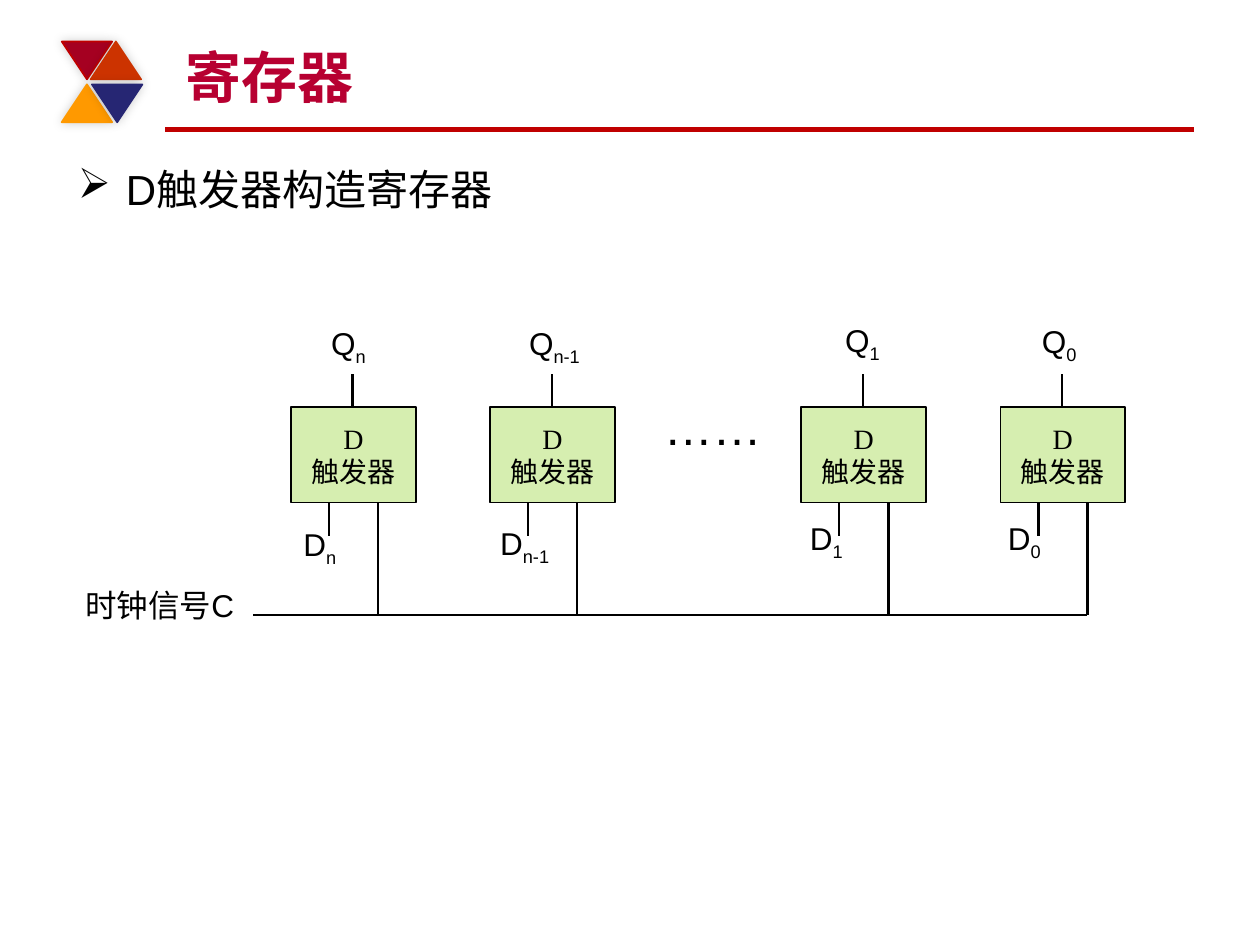
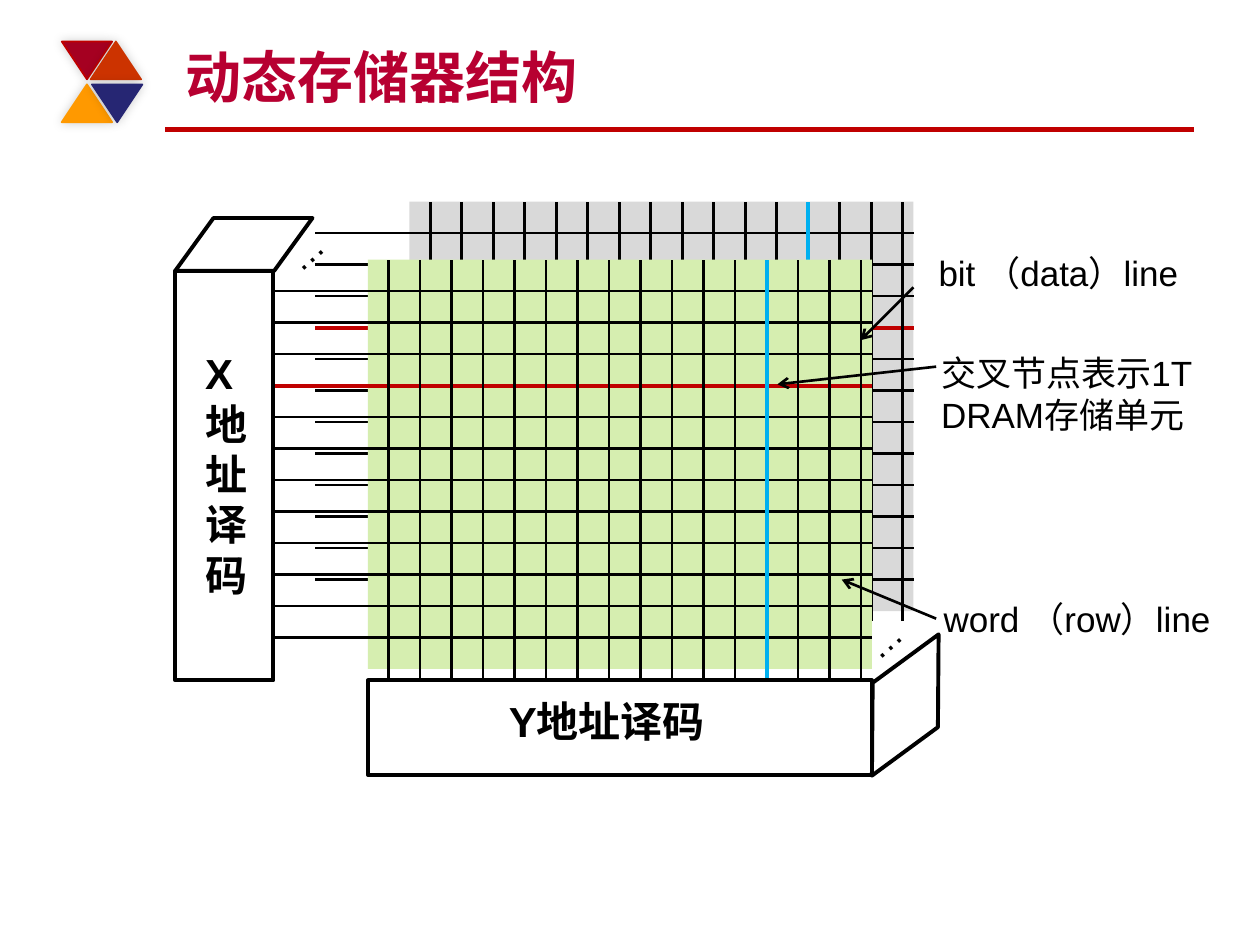
from lxml.etree import SubElement
from pptx import Presentation
from pptx.dml.color import RGBColor
from pptx.enum.shapes import MSO_CONNECTOR as Connector, MSO_SHAPE as Shape
from pptx.enum.text import MSO_ANCHOR as Anchor, MSO_AUTO_SIZE as AutoSize, PP_ALIGN as Align
from pptx.oxml.ns import qn
from pptx.util import Inches, Pt

BLACK, RED, BLUE = "000000", "C00000", "00B0F0"
TITLE_RED, GREEN, GREY = "B70031", "D6EEB0", "D9D9D9"
# left, top, rotation, fill, outline
TRIANGLES = [
    (0.49, 0.33, 180, "A50021", RED),
    (0.72, 0.33, 0, "CC3300", "CC3300"),
    (0.49, 0.67, 0, "FF9900", "FF9900"),
    (0.73, 0.67, 180, "262673", "262673"),
]


def color(hex_string):
    return RGBColor.from_string(hex_string)


class Painter:
    """Holds the deck, its style and the page being drawn."""

    font = "Arial"
    title_layout = 5

    def __init__(self):
        self.deck = Presentation()
        self.deck.slide_width, self.deck.slide_height = Inches(10), Inches(7.5)
        self.page = None

    def new_page(self, title):
        self.page = self.deck.slides.add_slide(self.deck.slide_layouts[self.title_layout])
        self.line(1.31, 1.03, 9.48, 1.03, RED, 3)
        for left, top, rotation, fill, outline in TRIANGLES:
            triangle = self.shape(Shape.ISOSCELES_TRIANGLE, (left, top, 0.4, 0.3),
                                  fill, outline, 1, rotation)
            self.soft_shadow(triangle)
        box = self.page.shapes.title
        self.place(box, (1.37, 0.25, 8, 0.67))
        frame = box.text_frame
        frame.text = title
        frame.auto_size = AutoSize.NONE
        frame.vertical_anchor = Anchor.BOTTOM
        frame.paragraphs[0].alignment = Align.LEFT
        self.format(frame, 32, TITLE_RED, bold=True)

    def place(self, box, area):
        box.left, box.top, box.width, box.height = map(Inches, area)

    def format(self, frame, size, ink=BLACK, bold=False, font=None):
        for para in frame.paragraphs:
            for span in para.runs:
                span.font.name = font or self.font
                span.font.size = Pt(size)
                span.font.bold = bold
                span.font.color.rgb = color(ink)

    def shape(self, kind, area, fill=None, outline=None, weight=2.25, rotation=0, adjust=None):
        shape = self.page.shapes.add_shape(kind, *map(Inches, area))
        shape.shadow.inherit = False
        shape.rotation = rotation
        if adjust is not None:
            shape.adjustments[0] = adjust
        if fill:
            shape.fill.solid()
            shape.fill.fore_color.rgb = color(fill)
        else:
            shape.fill.background()
        if outline:
            shape.line.color.rgb = color(outline)
            shape.line.width = Pt(weight)
        else:
            shape.line.fill.background()
        return shape

    def soft_shadow(self, shape):
        effects = shape._element.spPr.find(qn("a:effectLst"))
        shadow = SubElement(effects, qn("a:outerShdw"), blurRad=str(Pt(6)), dist="0",
                            dir="18900000", algn="ctr", rotWithShape="0")
        tint = SubElement(shadow, qn("a:srgbClr"), val=BLACK)
        SubElement(tint, qn("a:alpha"), val="20000")

    def line(self, x1, y1, x2, y2, ink=BLACK, weight=1.5, arrow=False):
        """Draw a line; an arrow points at its first end."""
        line = self.page.shapes.add_connector(
            Connector.STRAIGHT, *map(Inches, (x1, y1, x2, y2)))
        line.line.color.rgb = color(ink)
        line.line.width = Pt(weight)
        SubElement(line._element.spPr, qn("a:effectLst"))
        if arrow:
            SubElement(line.line._get_or_add_ln(), qn("a:headEnd"), type="arrow")

    def text(self, words, area, size, bold=False, subscript=None, rotation=0):
        box = self.page.shapes.add_textbox(*map(Inches, area))
        box.rotation = rotation
        frame = box.text_frame
        frame.word_wrap = True
        frame.text = words
        if subscript:
            span = frame.paragraphs[0].add_run()
            span.text = subscript
            span._r.get_or_add_rPr().set("baseline", "-25000")
        self.format(frame, size, bold=bold)
        return box

    def bullet(self, words, area, size):
        para = self.text(words, area, size).text_frame.paragraphs[0]
        props = para._p.get_or_add_pPr()
        indent = Inches(0.38)
        props.set("marL", str(indent))
        props.set("indent", str(-indent))
        SubElement(props, qn("a:buChar"), char="➢")

    def flip_flop(self, left, index, q_at, d_at):
        """Draw one flip-flop with its output, input and clock lines."""
        top, width, height, clock = 3.23, 0.99, 0.76, 4.88
        bottom = top + height
        box = self.shape(Shape.RECTANGLE, (left, top, width, height), GREEN, BLACK, 1)
        frame = box.text_frame
        frame.text = "D\n触发器"
        frame.vertical_anchor = Anchor.MIDDLE
        for para in frame.paragraphs:
            para.alignment = Align.CENTER
        self.format(frame, 16, font="Times New Roman")
        for x, start, end in [(0.49, top, 2.97), (0.3, 4.25, bottom), (0.69, clock, bottom)]:
            self.line(left + x, start, left + x, end)
        self.text("Q", (*q_at, 0.89, 0.4), 18, subscript=index)
        self.text("D", (*d_at, 0.89, 0.4), 18, subscript=index)

    def memory_plane(self, left, top, fill):
        """Draw a plane of word lines and bit lines, one of each selected."""
        step, width, height = 0.25, 4, 3.25
        self.shape(Shape.RECTANGLE, (left, top, width, height), fill)
        for row in range(12):
            y = top + step * (row + 1)
            style = (RED, 2.25) if row == 3 else (BLACK, 1.5)
            self.line(left - 0.75, y, left + width, y, *style)
        for column in range(16):
            x = left + 0.165 + step * column
            style = (BLUE, 2.25) if column == 12 else (BLACK, 1.5)
            self.line(x, top + 3.33, x, top, *style)


def draw_register(painter):
    painter.new_page("寄存器")
    painter.bullet("D触发器构造寄存器", (0.52, 1.25, 8.95, 0.68), 24)
    painter.line(2.01, 4.88, 8.63, 4.88)
    for left, index, q_at, d_at in [
        (2.31, "n", (2.53, 2.52), (2.31, 4.12)),
        (3.89, "n-1", (4.1, 2.52), (3.87, 4.11)),
        (6.36, "1", (6.61, 2.5), (6.33, 4.07)),
        (7.94, "0", (8.17, 2.51), (7.9, 4.07)),
    ]:
        painter.flip_flop(left, index, q_at, d_at)
    painter.text("……", (5.17, 3.1, 1.18, 0.57), 28)
    painter.text("时钟信号C", (0.58, 4.6, 1.53, 0.4), 18)


def draw_memory(painter):
    painter.new_page("动态存储器结构")
    painter.memory_plane(3.25, 1.6, GREY)
    painter.memory_plane(2.92, 2.06, GREEN)

    painter.shape(Shape.RECTANGLE, (1.39, 2.15, 0.78, 3.25), outline=BLACK)
    painter.shape(Shape.PARALLELOGRAM, (1.39, 1.73, 1.09, 0.42), outline=BLACK, adjust=0.725)
    painter.text("X地址译码", (1.53, 2.71, 0.5, 2.12), 24, bold=True)
    painter.shape(Shape.RECTANGLE, (2.92, 5.4, 4, 0.75), outline=BLACK)
    painter.shape(Shape.PARALLELOGRAM, (6.64, 5.3, 1.09, 0.59), outline=BLACK,
                  rotation=143.7, adjust=0.747)
    painter.text("Y地址译码", (3.94, 5.47, 1.89, 0.5), 24, bold=True)
    for left, top in [(2.15, 1.69), (6.74, 4.77)]:
        painter.text("…", (left, top, 0.73, 0.44), 20, rotation=318.2)

    for words, area, arrow in [
        ("bit （data）line", (7.35, 1.95, 2.22, 0.77), (6.83, 2.7, 7.25, 2.28)),
        ("交叉节点表示1T DRAM存储单元", (7.37, 2.74, 2.22, 1.1), (6.17, 3.05, 7.43, 2.91)),
        ("word （row）line", (7.39, 4.69, 2.41, 0.77), (6.68, 4.6, 7.43, 4.91)),
    ]:
        painter.text(words, area, 20)
        painter.line(*arrow, arrow=True)


def main():
    painter = Painter()
    draw_register(painter)
    draw_memory(painter)
    painter.deck.save("out.pptx")


if __name__ == "__main__":
    main()
